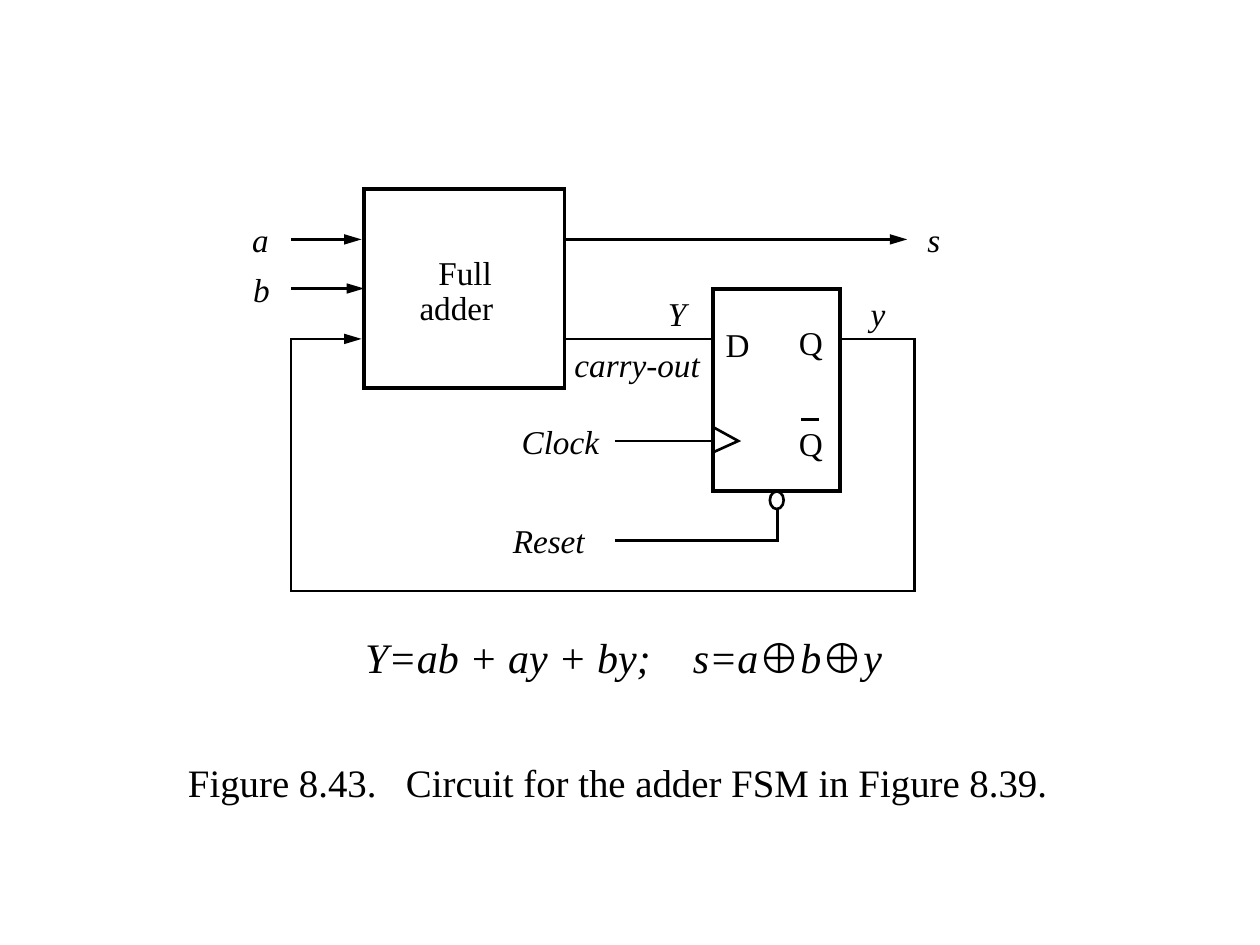
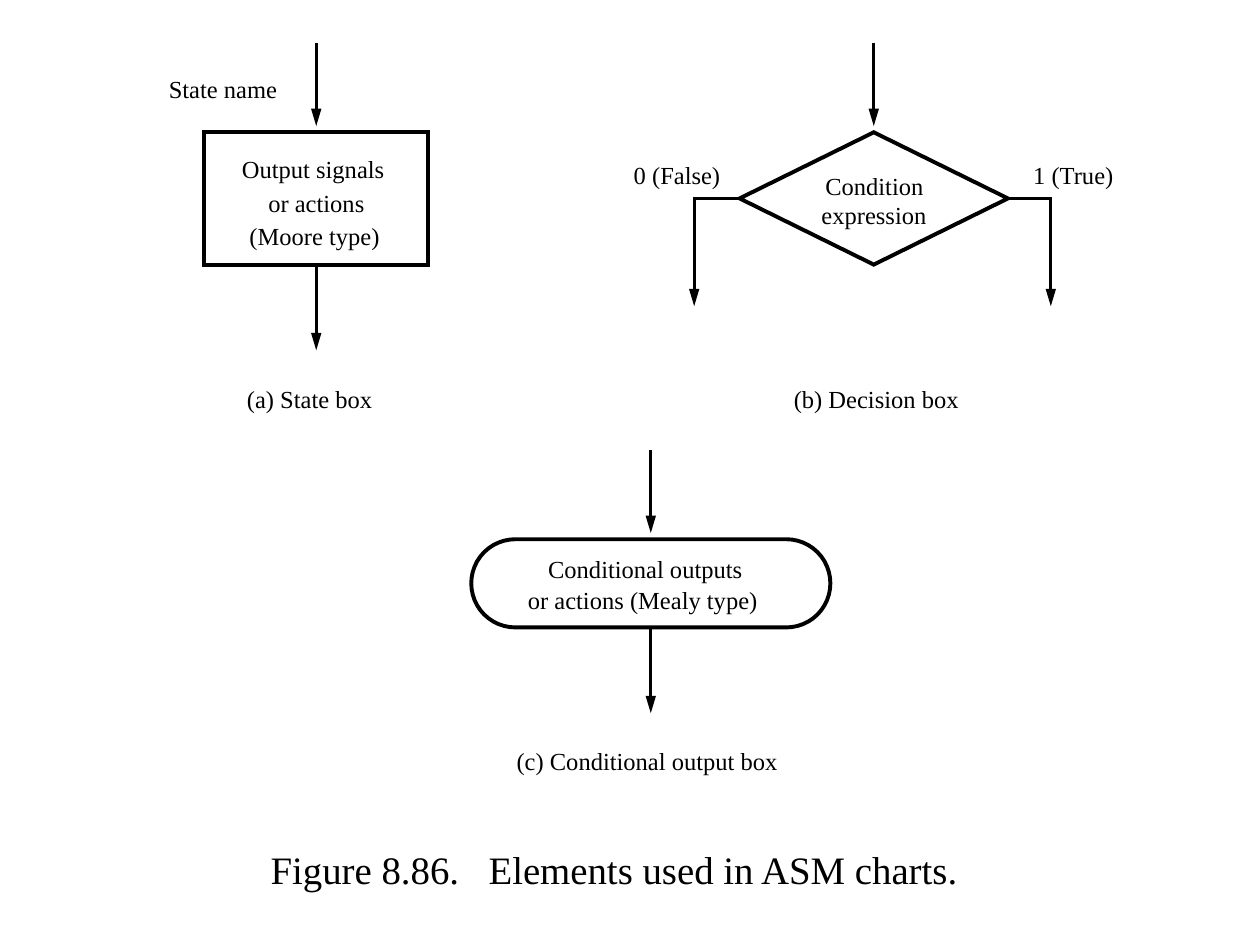
from typing import NamedTuple, Optional

from pptx import Presentation
from pptx.dml.color import RGBColor
from pptx.enum.shapes import MSO_CONNECTOR as Link, MSO_SHAPE as Form
from pptx.enum.text import MSO_ANCHOR as Anchor, MSO_AUTO_SIZE as Fit, PP_ALIGN as Align
from pptx.oxml.ns import qn
from pptx.shapes.autoshape import Shape
from pptx.shapes.connector import Connector
from pptx.slide import Slide
from pptx.text.text import _Paragraph as Para
from pptx.util import Inches, Pt
from lxml.etree import SubElement

BLACK = RGBColor(0, 0, 0)
WHITE = RGBColor(255, 255, 255)
SERIF, SANS = "Times New Roman", "Arial"
THIN, BAR, THICK = 1.5, 1.87, 2.25
SLACK = 0.1  # spare label width, so that no line breaks
TOP, LEFT, BOTTOM, RIGHT = range(4)
Point = tuple[float, float]


class Label(NamedTuple):
    text: str
    x: float
    y: float
    w: float
    slant: bool = False


class Box(NamedTuple):
    form: Form
    x: float
    y: float
    w: float
    h: float
    line: float = THICK
    fill: Optional[RGBColor] = None


class Wire(NamedTuple):
    points: list[Point]
    arrow: bool = False
    width: float = THIN


# Shared styling
def style(para: Para, size: float, slant: bool = False) -> None:
    font = para.font
    font.name, font.size, font.italic = SERIF, Pt(size), slant
    font.color.rgb = BLACK


def add_gap(para: Para, extra: float) -> None:
    """Add one space widened by some points."""
    run = para.add_run()
    run.text = " "
    run.font._element.set("spc", str(round(extra * 100)))


def ink(item: Shape | Connector, width: float, arrow: bool = False) -> None:
    item.line.color.rgb = BLACK
    item.line.width = Pt(width)
    ln = item._element.spPr.find(qn("a:ln"))
    SubElement(ln, qn("a:miter"), lim="800000")
    if arrow:
        SubElement(ln, qn("a:tailEnd"), type="triangle", w="med", len="lg")


# Parts
def add_caption(slide: Slide, number: str, text: str, x: float, y: float, w: float) -> None:
    title = slide.shapes.title
    title.left, title.top, title.width, title.height = map(Inches, (x, y, w, 0.5))
    frame = title.text_frame
    frame.vertical_anchor, frame.auto_size = Anchor.TOP, Fit.NONE
    para = frame.paragraphs[0]
    para.alignment = Align.CENTER
    style(para, 22.2)
    para.add_run().text = f"Figure {number}."
    add_gap(para, 11.1)
    para.add_run().text = text


def add_label(slide: Slide, label: Label, size: float) -> None:
    area = map(Inches, (label.x, label.y, label.w + SLACK, size / 60))
    frame = slide.shapes.add_textbox(*area).text_frame
    frame.margin_left = frame.margin_right = frame.margin_top = frame.margin_bottom = 0
    frame.word_wrap, frame.auto_size = True, Fit.NONE
    para = frame.paragraphs[0]
    para.text = label.text
    style(para, size, label.slant)


def add_box(slide: Slide, box: Box) -> Shape:
    area = map(Inches, (box.x, box.y, box.w, box.h))
    shape = slide.shapes.add_shape(box.form, *area)
    shape.shadow.inherit = False
    if box.fill is None:
        shape.fill.background()
    else:
        shape.fill.solid()
        shape.fill.fore_color.rgb = box.fill
    ink(shape, box.line)
    return shape


def add_wire(slide: Slide, wire: Wire) -> Shape | Connector:
    """Draw a straight connector, or an open outline when the wire bends."""
    points = [(Inches(x), Inches(y)) for x, y in wire.points]
    if len(points) == 2:
        item = slide.shapes.add_connector(Link.STRAIGHT, *points[0], *points[1])
        ink(item, wire.width, wire.arrow)
        SubElement(item._element.spPr, qn("a:effectLst"))
        return item
    path = slide.shapes.build_freeform(*points[0])
    path.add_line_segments(points[1:], close=False)
    item = path.convert_to_shape()
    item.shadow.inherit = False
    item.fill.background()
    ink(item, wire.width, wire.arrow)
    return item


def add_formula(slide: Slide) -> None:
    area = map(Inches, (2.8, 4.96, 4.37, 0.5))
    frame = slide.shapes.add_textbox(*area).text_frame
    frame.word_wrap = True
    para = frame.paragraphs[0]
    style(para, 24, True)
    para.add_run().text = "Y=ab + ay + by;"
    add_gap(para, 18)
    for text in ("s=a", "⊕", "b", "⊕", "y"):
        run = para.add_run()
        run.text = text
        if text == "⊕":
            run.font.name = SANS


# Slide 1: serial adder circuit
def draw_adder(slide: Slide) -> None:
    add_caption(slide, "8.43", "Circuit for the adder FSM in Figure 8.39.", 1.01, 5.97, 7.79)

    row_a, row_b, row_y = 1.9, 2.29, 2.69
    wires = [
        Wire([(2.31, row_a), (2.87, row_a)], True),
        Wire([(4.48, row_a), (7.2, row_a)], True),
        Wire([(4.48, row_y), (5.66, row_y)]),
        Wire([(6.67, row_y), (7.26, row_y), (7.26, 4.69), (2.31, 4.69),
              (2.31, row_y), (2.87, row_y)], True),
        Wire([(4.88, 4.29), (6.17, 4.29), (6.17, 4.04)]),
    ]
    for wire in wires:
        add_wire(slide, wire)

    adder = add_box(slide, Box(Form.RECTANGLE, 2.89, 1.5, 1.59, 1.58))
    feed = add_wire(slide, Wire([(2.31, row_b), (2.89, row_b)], True))
    feed.end_connect(adder, LEFT)

    # Flip-flop with clock mark, reset bubble and bar over Q
    add_box(slide, Box(Form.RECTANGLE, 5.66, 2.29, 1.01, 1.61, fill=WHITE))
    add_box(slide, Box(Form.OVAL, 6.11, 3.9, 0.11, 0.14, THIN, WHITE))
    add_wire(slide, Wire([(4.88, 3.5), (5.66, 3.5)]))
    add_wire(slide, Wire([(5.66, 3.59), (5.86, 3.5), (5.66, 3.39)]))
    add_wire(slide, Wire([(6.36, 3.33), (6.5, 3.33)], width=BAR))

    labels = [
        Label("Full", 3.48, 2, 0.44),
        Label("adder", 3.33, 2.28, 0.73),
        Label("a", 2, 1.74, 0.15, True),
        Label("b", 2.01, 2.14, 0.15, True),
        Label("s", 7.36, 1.74, 0.11, True),
        Label("D", 5.76, 2.57, 0.19),
        Label("Q", 6.34, 2.56, 0.21),
        Label("Q", 6.34, 3.36, 0.21),
        Label("Y", 5.3, 2.33, 0.13, True),
        Label("y", 6.91, 2.33, 0.12, True),
        Label("carry-out", 4.56, 2.73, 1.07, True),
        Label("Clock", 4.14, 3.34, 0.62, True),
        Label("Reset", 4.07, 4.13, 0.62, True),
    ]
    for label in labels:
        add_label(slide, label, 19)
    add_formula(slide)


# Slide 2: the three kinds of chart box
def draw_chart(slide: Slide) -> None:
    add_caption(slide, "8.86", "Elements used in ASM charts.", 0.83, 6.66, 8.09)

    state = Box(Form.RECTANGLE, 1.62, 1.05, 1.78, 1.05)
    choice = Box(Form.DIAMOND, 5.87, 1.05, 2.13, 1.05)
    output = Box(Form.ROUNDED_RECTANGLE, 3.74, 4.28, 2.85, 0.7)
    for box in (state, choice, output):
        shape = add_box(slide, box)
        mid, foot = box.x + box.w / 2, box.y + box.h
        add_wire(slide, Wire([(mid, box.y - 0.71), (mid, box.y - 0.05)], True))
        if box is output:
            shape.adjustments[0] = 0.5
        if box is not choice:
            leave = add_wire(slide, Wire([(mid, foot), (mid, foot + 0.68)], True))
            leave.begin_connect(shape, BOTTOM)

    # False and true branches
    side = choice.y + choice.h / 2
    for start, turn in ((choice.x, 5.51), (choice.x + choice.w, 8.34)):
        add_wire(slide, Wire([(start, side), (turn, side), (turn, 2.43)], True))

    labels = [
        Label("State name", 1.34, 0.59, 0.86),
        Label("Output signals", 1.92, 1.22, 1.13),
        Label("or actions", 2.13, 1.49, 0.76),
        Label("(Moore type)", 1.98, 1.75, 1.04),
        Label("Condition", 6.55, 1.36, 0.83),
        Label("expression", 6.52, 1.59, 0.83),
        Label("0 (False)", 5.03, 1.27, 0.74),
        Label("1 (True)", 8.2, 1.27, 0.64),
        Label("Conditional outputs", 4.35, 4.4, 1.59),
        Label("or actions (Mealy type)", 4.19, 4.64, 1.87),
        Label("(a) State box", 1.96, 3.05, 1.05),
        Label("(b) Decision box", 6.3, 3.05, 1.31),
        Label("(c) Conditional output box", 4.1, 5.92, 2.08),
    ]
    for label in labels:
        add_label(slide, label, 14)


def main() -> None:
    deck = Presentation()
    deck.slide_width, deck.slide_height = Inches(10), Inches(7.5)
    for draw in (draw_adder, draw_chart):
        draw(deck.slides.add_slide(deck.slide_layouts[5]))
    deck.save("out.pptx")


if __name__ == "__main__":
    main()
